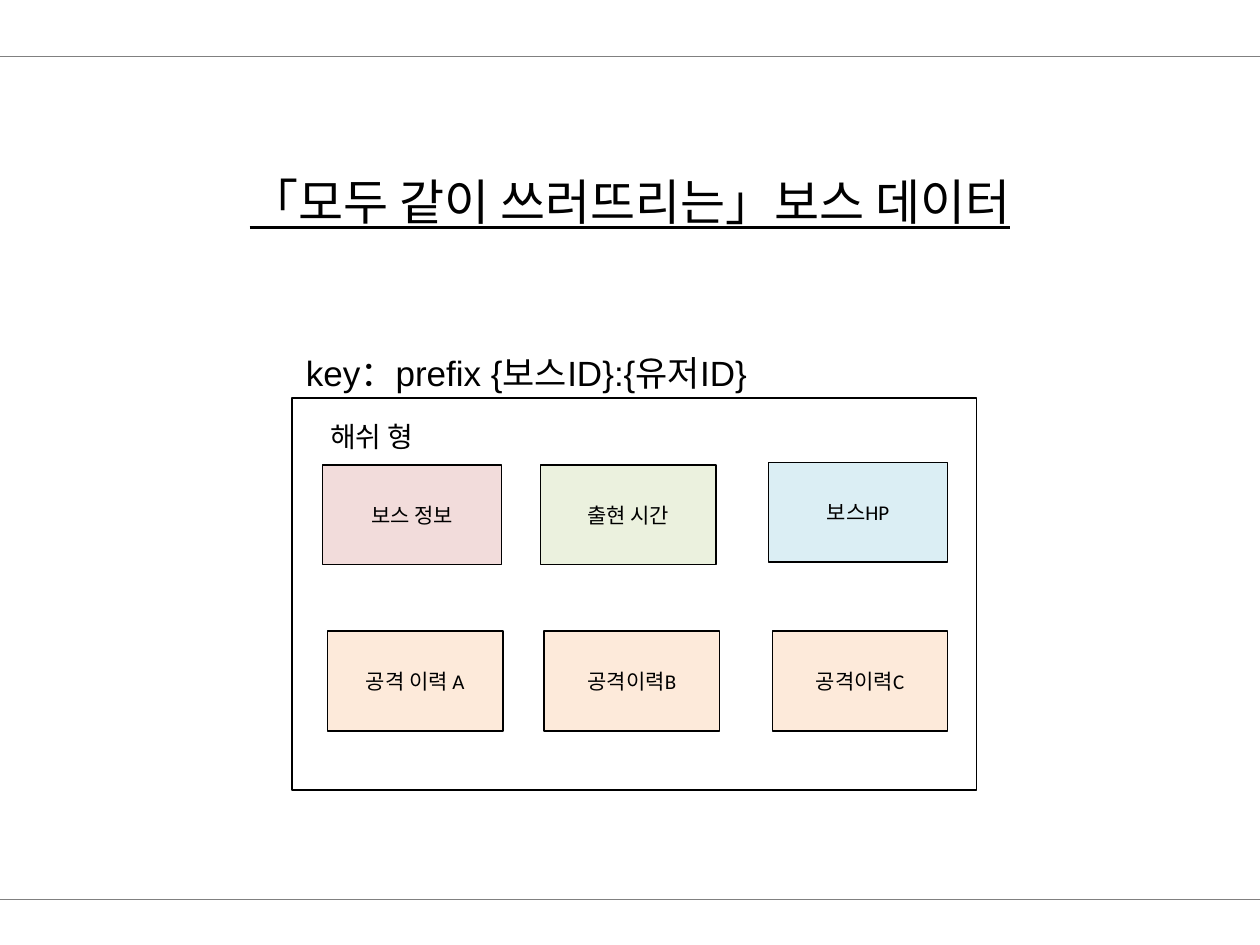
from dataclasses import dataclass
from pptx import Presentation
from pptx.dml.color import RGBColor
from pptx.enum.shapes import MSO_CONNECTOR as Connector, MSO_SHAPE as Shape
from pptx.enum.text import MSO_ANCHOR as Anchor, PP_ALIGN as Align
from pptx.util import Inches, Pt
from lxml import etree


@dataclass(frozen=True)
class Theme:
    ink: str = "000000"
    paper: str = "FFFFFF"
    rule: str = "808080"
    pink: str = "F2DCDB"
    green: str = "EBF1DE"
    blue: str = "DBEEF4"
    orange: str = "FDEADA"
    text_font: str = "Arial"
    box_font: str = "Calibri"
    title_size: int = 28
    key_size: int = 20
    type_size: int = 16
    box_size: int = 12


theme = Theme()
SLIDE_WIDTH, SLIDE_HEIGHT = 10, 7.5
RULE_TOPS = (0.45, 7.14)
HASH_FRAME = (2.32, 3.16, 5.43, 3.11)
BOX_HEIGHT = 0.79
WIDE, NARROW = 1.42, 1.39

LABELS = [
    ("「모두 같이 쓰러뜨리는」보스 데이터", (0.51, 1.31, 8.98, 0.57), theme.title_size, Align.CENTER, True),
    ("key:prefix {보스ID}:{유저ID} ".replace(":", "：", 1), (2.33, 2.74, 5.27, 0.44), theme.key_size, Align.LEFT, False),
    ("해쉬 형", (2.01, 3.28, 1.88, 0.37), theme.type_size, Align.CENTER, False),
]
FIELDS = [
    ("보스 정보", 2.56, 3.69, WIDE, theme.pink),
    ("출현 시간", 4.29, 3.69, NARROW, theme.green),
    ("보스HP", 6.1, 3.67, WIDE, theme.blue),
]
ATTACKS = [("공격 이력 A", 2.6), ("공격이력B", 4.32), ("공격이력C", 6.13)]
ATTACK_TOP = 5.01
FIELDS += [(text, left, ATTACK_TOP, NARROW, theme.orange) for text, left in ATTACKS]


def color(value):
    return RGBColor.from_string(value)


def write(shape, text, font, size, align, underline=False):
    frame = shape.text_frame
    frame.word_wrap = True
    frame.text = text
    paragraph = frame.paragraphs[0]
    paragraph.alignment = align
    for run in paragraph.runs:
        run.font.name = font
        run.font.size = Pt(size)
        run.font.color.rgb = color(theme.ink)
        if underline:
            run.font.underline = True


def add_rule(slide, top):
    line = slide.shapes.add_connector(
        Connector.STRAIGHT, Inches(0), Inches(top), Inches(SLIDE_WIDTH), Inches(top))
    line.line.color.rgb = color(theme.rule)
    line.line.width = Pt(0.75)
    properties = line._element.spPr
    etree.SubElement(properties, "{http://schemas.openxmlformats.org/drawingml/2006/main}effectLst")


def add_box(slide, place, fill):
    box = slide.shapes.add_shape(Shape.RECTANGLE, *map(Inches, place))
    box.shadow.inherit = False
    box.fill.solid()
    box.fill.fore_color.rgb = color(fill)
    box.line.color.rgb = color(theme.ink)
    box.line.width = Pt(1)
    return box


presentation = Presentation()
presentation.slide_width = Inches(SLIDE_WIDTH)
presentation.slide_height = Inches(SLIDE_HEIGHT)
slide = presentation.slides.add_slide(presentation.slide_layouts[6])

for top in RULE_TOPS:
    add_rule(slide, top)
add_box(slide, HASH_FRAME, theme.paper)
for text, place, size, align, underline in LABELS:
    label = slide.shapes.add_textbox(*map(Inches, place))
    write(label, text, theme.text_font, size, align, underline)
for text, left, top, width, fill in FIELDS:
    box = add_box(slide, (left, top, width, BOX_HEIGHT), fill)
    box.text_frame.vertical_anchor = Anchor.MIDDLE
    write(box, text, theme.box_font, theme.box_size, Align.CENTER)

presentation.save("out.pptx")
